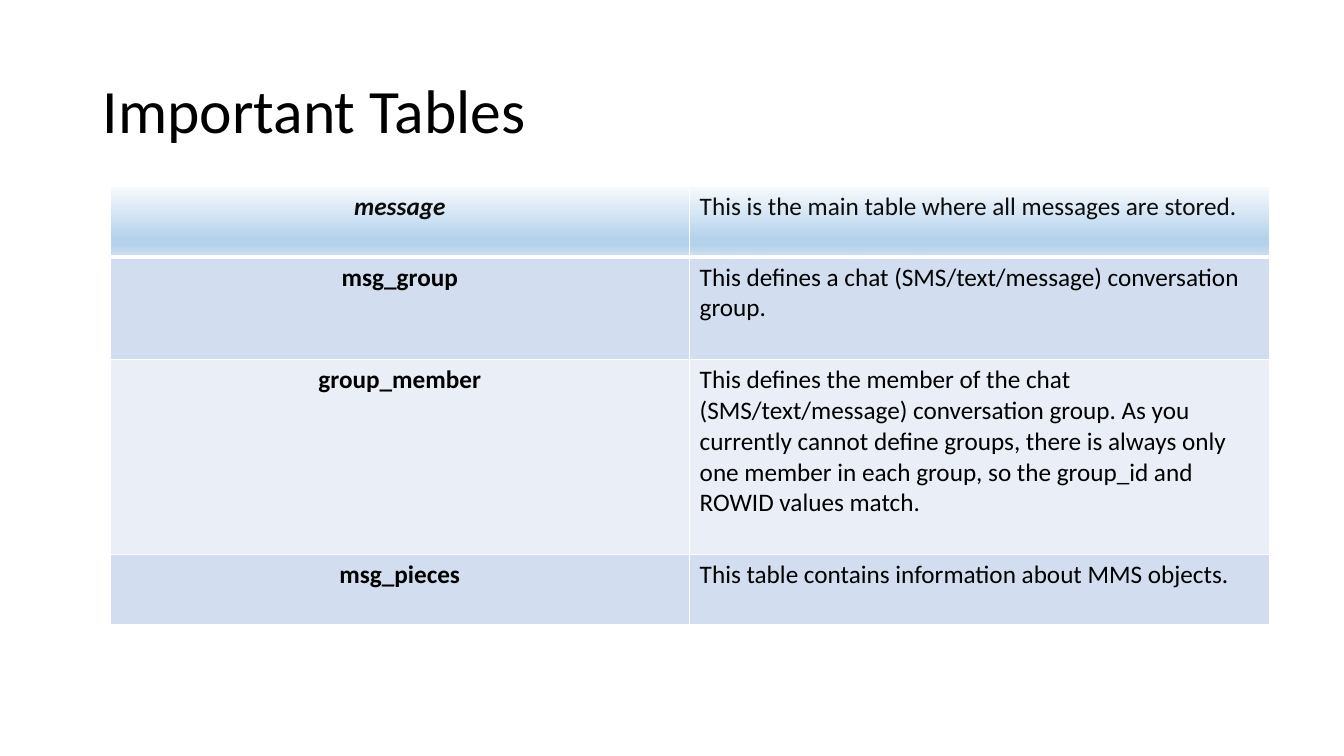
"""Build the slide that lists the important message tables."""
from dataclasses import dataclass

from lxml.etree import SubElement
from pptx import Presentation
from pptx.dml.color import RGBColor
from pptx.enum.text import MSO_ANCHOR, PP_ALIGN
from pptx.oxml.ns import qn
from pptx.util import Inches, Pt

TITLE = "Important Tables"
ROWS = [
    ("message", "This is the main table where all messages are stored.", 0.7),
    ("msg_group", "This defines a chat (SMS/text/message) conversation group.", 1.02),
    (
        "group_member",
        "This defines the member of the chat (SMS/text/message) conversation group. "
        "As you currently cannot define groups, there is always only one member in "
        "each group, so the group_id and ROWID values match.",
        1.93,
    ),
    ("msg_pieces", "This table contains information about MMS objects.", 0.7),
]


@dataclass(frozen=True)
class Theme:
    font: str = "Calibri"
    title_size: int = 44
    body_size: int = 18
    ink: str = "000000"
    header_ink: str = "0D0D0D"
    border: str = "FFFFFF"
    thin: int = 1
    thick: int = 3
    bands: tuple = ("EAEFF7", "D2DEEF")
    header_stops: tuple = ((0, "F7FAFD"), (74, "B5D2EC"), (83, "B5D2EC"), (100, "CEE1F2"))


THEME = Theme()


def style_font(font, size, color):
    font.name = THEME.font
    font.size = Pt(size)
    font.color.rgb = RGBColor.from_string(color)


def add_borders(properties, widths):
    for side, width in widths.items():
        line = SubElement(properties, qn(f"a:ln{side}"), w=str(Pt(width)))
        fill = SubElement(line, qn("a:solidFill"))
        SubElement(fill, qn("a:srgbClr"), val=THEME.border)


def add_header_gradient(properties):
    gradient = SubElement(properties, qn("a:gradFill"), rotWithShape="1")
    stops = SubElement(gradient, qn("a:gsLst"))
    for percent, color in THEME.header_stops:
        stop = SubElement(stops, qn("a:gs"), pos=str(percent * 1000))
        SubElement(stop, qn("a:srgbClr"), val=color)
    SubElement(gradient, qn("a:lin"), ang=str(90 * 60000), scaled="0")


def format_cell(cell, text, row, column):
    is_header, is_name = row == 0, column == 0
    properties = cell._tc.get_or_add_tcPr()
    add_borders(properties, {
        "L": THEME.thin,
        "R": THEME.thin,
        "T": THEME.thick if row == 1 else THEME.thin,
        "B": THEME.thick if is_header else THEME.thin,
    })
    if is_header:
        add_header_gradient(properties)
    else:
        cell.fill.solid()
        cell.fill.fore_color.rgb = RGBColor.from_string(THEME.bands[row % 2])
    cell.text = text
    para = cell.text_frame.paragraphs[0]
    para.alignment = PP_ALIGN.CENTER if is_name else PP_ALIGN.LEFT
    style_font(para.font, THEME.body_size, THEME.header_ink if is_header else THEME.ink)
    para.font.bold = is_name
    para.font.italic = is_header and is_name


def add_title(page):
    title = page.shapes.title
    title.left, title.top = Inches(0.92), Inches(0.4)
    title.width, title.height = Inches(11.5), Inches(1.45)
    title.text_frame.text = TITLE
    title.text_frame.vertical_anchor = MSO_ANCHOR.MIDDLE
    para = title.text_frame.paragraphs[0]
    para.alignment = PP_ALIGN.LEFT
    para.line_spacing = 0.9
    style_font(para.font, THEME.title_size, THEME.ink)


def add_definitions(page):
    total = sum(height for _, _, height in ROWS)
    table = page.shapes.add_table(
        len(ROWS), 2, Inches(1.09), Inches(1.85), Inches(11.5), Inches(total)
    ).table
    for row, (name, description, height) in enumerate(ROWS):
        table.rows[row].height = Inches(height)
        for column, text in enumerate((name, description)):
            format_cell(table.cell(row, column), text, row, column)


def main():
    deck = Presentation()
    deck.slide_width, deck.slide_height = Inches(13.33), Inches(7.5)
    page = deck.slides.add_slide(deck.slide_layouts[5])
    add_title(page)
    add_definitions(page)
    deck.save("out.pptx")


if __name__ == "__main__":
    main()
